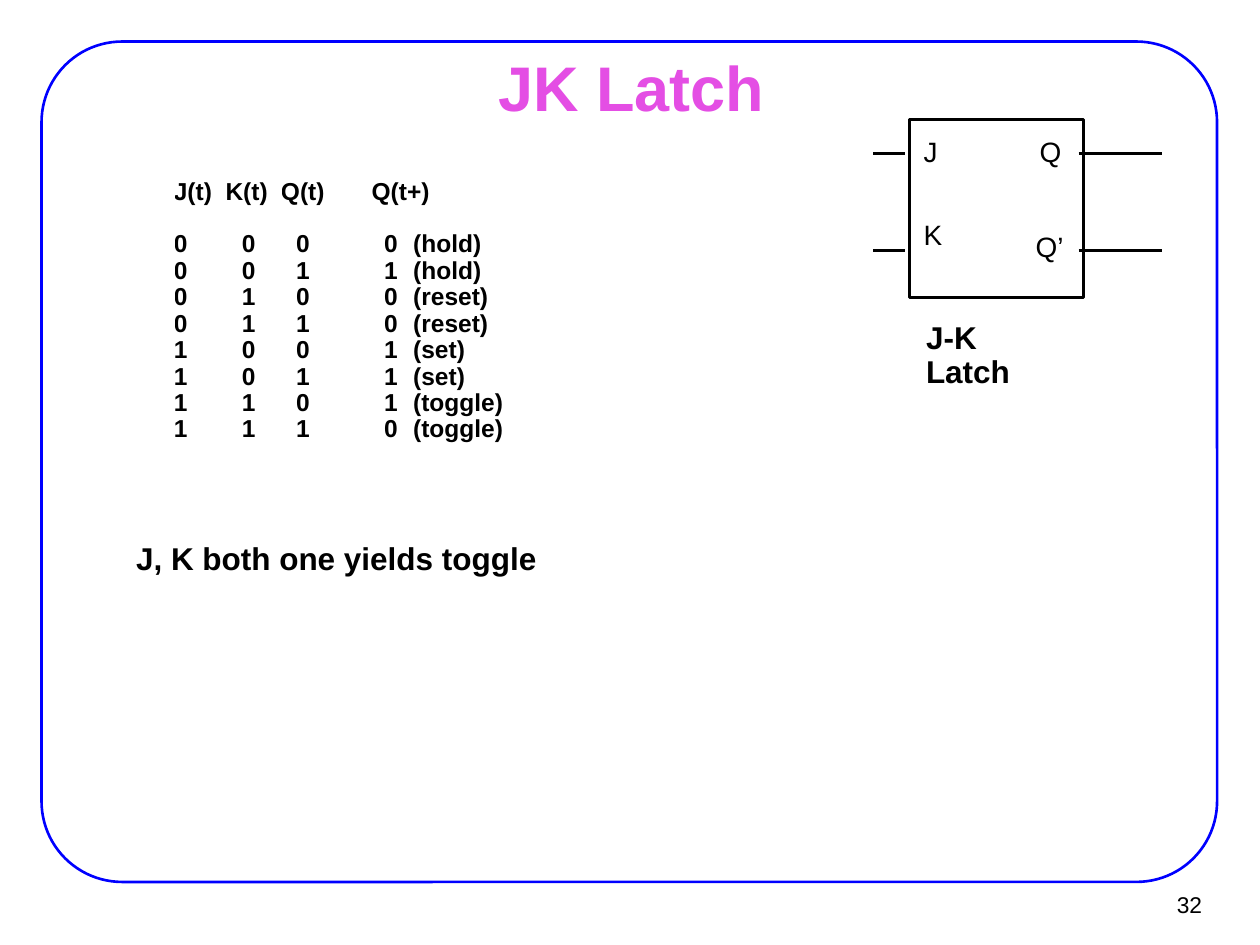
from pptx import Presentation
from pptx.dml.color import RGBColor
from pptx.enum.shapes import MSO_CONNECTOR, MSO_SHAPE
from pptx.enum.text import MSO_ANCHOR, PP_ALIGN
from pptx.oxml.ns import qn
from pptx.util import Inches, Pt
from lxml.etree import SubElement

THEME = {
    "font": "Arial",
    "ink": "000000", "title": "E44EE4", "frame": "0000FF",
    "title_size": 36, "body_size": 18, "pin_size": 16, "table_size": 14, "number_size": 13,
}

TITLE = "JK Latch"
NUMBER = "32"
REMARK = "J, K both one yields toggle"
LATCH_NAME = "J-K Latch"

# header, column left, indent of the values below the header
COLUMNS = [("J(t)", 1.38, 0), ("K(t)", 1.79, 0.13), ("Q(t)", 2.23, 0.12),
           ("Q(t+)", 2.95, 0.1), ("", 3.28, 0)]
TABLE_RIGHT, TABLE_TOP = 4.15, 1.43
HEADER_HEIGHT, ROW_HEIGHT = 0.42, 0.21
STATES = [
    ("0", "0", "0", "0", "(hold)"),
    ("0", "0", "1", "1", "(hold)"),
    ("0", "1", "0", "0", "(reset)"),
    ("0", "1", "1", "0", "(reset)"),
    ("1", "0", "0", "1", "(set)"),
    ("1", "0", "1", "1", "(set)"),
    ("1", "1", "0", "1", "(toggle)"),
    ("1", "1", "1", "0", "(toggle)"),
]

PINS = [("J", 7.33, 1.1), ("K", 7.33, 1.76), ("Q", 8.25, 1.1), ("Q’", 8.22, 1.85)]
WIRE_LEVELS = (1.22, 1.99)
WIRE_SPANS = ((6.93, 7.18), (8.56, 9.22))


def write(frame, text, size, color="ink", bold=False, align=PP_ALIGN.LEFT,
          spacing=0.9, anchor=MSO_ANCHOR.TOP, wrap=False):
    frame.margin_left = frame.margin_right = frame.margin_top = frame.margin_bottom = 0
    frame.word_wrap = wrap
    frame.vertical_anchor = anchor
    paragraph = frame.paragraphs[0]
    paragraph.alignment = align
    paragraph.line_spacing = spacing
    run = paragraph.add_run()
    run.text = text
    run.font.name = THEME["font"]
    run.font.size = Pt(THEME[size])
    run.font.bold = bold
    run.font.color.rgb = RGBColor.from_string(THEME[color])


def add_label(shapes, text, left, top, width, height, size, **format):
    box = shapes.add_textbox(Inches(left), Inches(top), Inches(width), Inches(height))
    write(box.text_frame, text, size, **format)


def add_outline(shapes, preset, left, top, width, height, color, weight):
    outline = shapes.add_shape(preset, Inches(left), Inches(top), Inches(width), Inches(height))
    outline.shadow.inherit = False
    outline.fill.background()
    outline.line.color.rgb = RGBColor.from_string(THEME[color])
    outline.line.width = Pt(weight)
    return outline


def add_wire(shapes, start, end, level):
    wire = shapes.add_connector(MSO_CONNECTOR.STRAIGHT, Inches(start), Inches(level),
                                Inches(end), Inches(level))
    wire.line.color.rgb = RGBColor.from_string(THEME["ink"])
    wire.line.width = Pt(2)
    SubElement(wire._element.spPr, qn("a:effectLst"))


def add_latch(slide):
    latch = slide.shapes.add_group_shape().shapes
    add_outline(latch, MSO_SHAPE.RECTANGLE, 7.22, 0.95, 1.38, 1.41, "ink", 2)
    for level in WIRE_LEVELS:
        for start, end in WIRE_SPANS:
            add_wire(latch, start, end, level)
    for pin, left, top in PINS:
        add_label(latch, pin, left, top, 0.25, 0.24, "pin_size")
    add_label(latch, LATCH_NAME, 7.35, 2.56, 0.9, 0.55, "body_size", bold=True, wrap=True)


def add_truth_table(slide):
    headers, lefts, indents = zip(*COLUMNS)
    edges = lefts + (TABLE_RIGHT,)
    height = HEADER_HEIGHT + ROW_HEIGHT * len(STATES)
    table = slide.shapes.add_table(
        len(STATES) + 1, len(COLUMNS), Inches(lefts[0]), Inches(TABLE_TOP),
        Inches(TABLE_RIGHT - lefts[0]), Inches(height)).table
    table.first_row = table.horz_banding = False
    for column, left, right in zip(table.columns, edges, edges[1:]):
        column.width = Inches(right - left)
    for r, values in enumerate([headers] + STATES):
        table.rows[r].height = Inches(ROW_HEIGHT if r else HEADER_HEIGHT)
        for c, value in enumerate(values):
            cell = table.cell(r, c)
            cell.fill.background()
            cell.margin_left = Inches(indents[c] if r else 0)
            cell.margin_right = cell.margin_top = cell.margin_bottom = 0
            if value:
                write_cell(cell, value)
    # The last header is wider than its column of values.
    table.cell(0, 3).merge(table.cell(0, 4))


def write_cell(cell, value):
    paragraph = cell.text_frame.paragraphs[0]
    paragraph.line_spacing = 0.9
    run = paragraph.add_run()
    run.text = value
    run.font.name = THEME["font"]
    run.font.size = Pt(THEME["table_size"])
    run.font.bold = True
    run.font.color.rgb = RGBColor.from_string(THEME["ink"])


def main():
    deck = Presentation()
    deck.slide_width, deck.slide_height = Inches(10), Inches(7.5)
    slide = deck.slides.add_slide(deck.slide_layouts[5])

    frame = add_outline(slide.shapes, MSO_SHAPE.ROUNDED_RECTANGLE,
                        0.33, 0.33, 9.33, 6.67, "frame", 1.5)
    frame.adjustments[0] = 0.096

    title = slide.shapes.title
    title.left, title.top = Inches(0.76), Inches(0.44)
    title.width, title.height = Inches(8.5), Inches(0.49)
    write(title.text_frame, TITLE, "title_size", color="title", bold=True,
          align=PP_ALIGN.CENTER, spacing=1.0, anchor=MSO_ANCHOR.MIDDLE, wrap=True)

    add_truth_table(slide)
    add_latch(slide)
    add_label(slide.shapes, REMARK, 1.08, 4.32, 3.26, 0.25, "body_size",
              bold=True, spacing=0.85)
    add_label(slide.shapes, NUMBER, 9.02, 6.99, 0.52, 0.37, "number_size",
              align=PP_ALIGN.RIGHT, spacing=1.0, anchor=MSO_ANCHOR.MIDDLE, wrap=True)
    deck.save("out.pptx")


if __name__ == "__main__":
    main()
